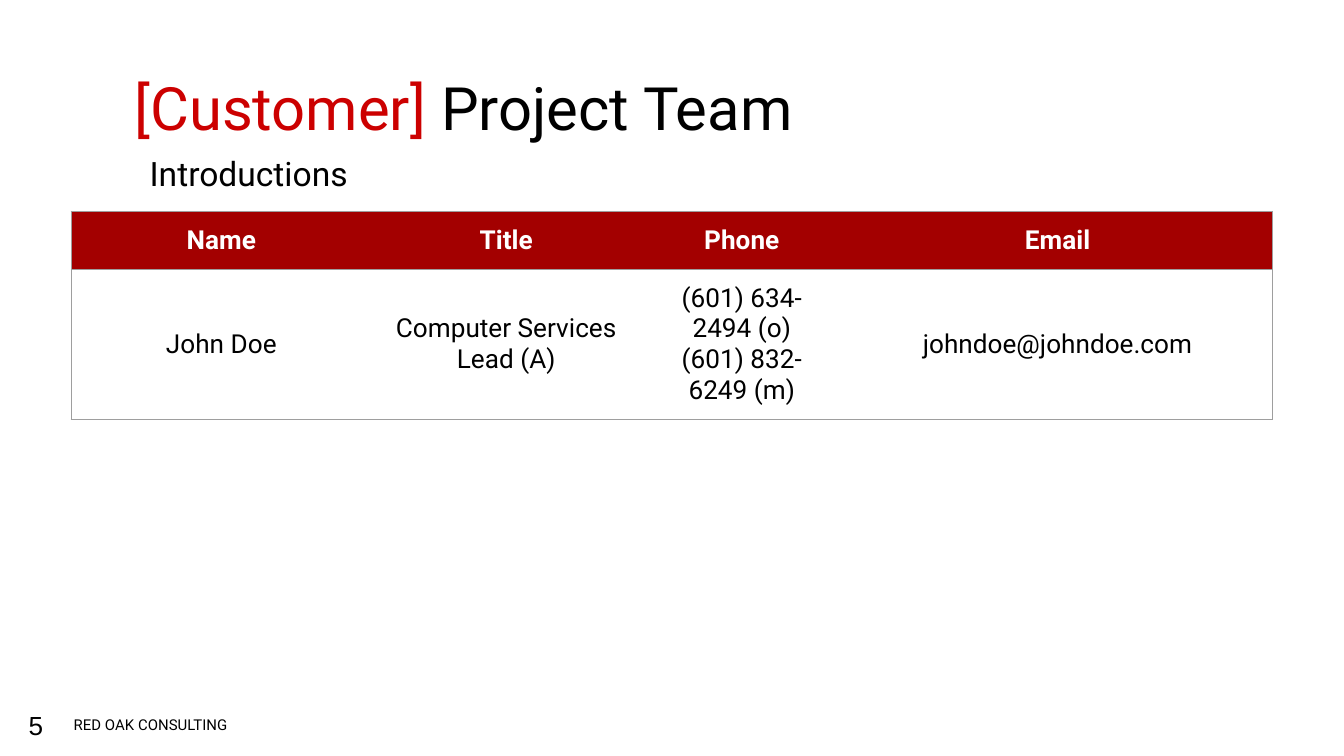
from lxml.etree import SubElement
from pptx import Presentation
from pptx.dml.color import RGBColor
from pptx.enum.text import MSO_ANCHOR, MSO_AUTO_SIZE, PP_ALIGN
from pptx.oxml.ns import qn
from pptx.util import Inches, Pt

COLORS = {
    "ink": "000000",
    "accent": "CC0000",
    "header": "A30000",
    "white": "FFFFFF",
    "border": "9E9E9E",
}
COLS, ROWS = 100, 56.25
UNIT = Inches(0.1)
PAD = UNIT
TEAM = [
    ["Name", "Title", "Phone", "Email"],
    ["John Doe", "Computer Services Lead (A)",
     "(601) 634-2494 (o)\n(601) 832-6249 (m)", "johndoe@johndoe.com"],
]
WIDTHS = [22.35, 20.05, 15, 32]
HEIGHTS = [4.3, 11.2]


def grid(*cells):
    return [round(cell * UNIT) for cell in cells]


def style(run, size, color="ink", face="Roboto", bold=False):
    font = run.font
    font.size = Pt(size)
    font.name = face
    font.bold = bold
    font.color.rgb = RGBColor.from_string(COLORS[color])


def setup(frame, anchor):
    frame.word_wrap = True
    frame.auto_size = MSO_AUTO_SIZE.NONE
    frame.vertical_anchor = anchor
    frame.margin_left = frame.margin_right = PAD
    frame.margin_top = frame.margin_bottom = PAD


def add_title(slide, box, parts):
    title = slide.shapes.title
    title.left, title.top, title.width, title.height = grid(*box)
    setup(title.text_frame, MSO_ANCHOR.BOTTOM)
    para = title.text_frame.paragraphs[0]
    para.alignment = PP_ALIGN.LEFT
    for text, color in parts:
        run = para.add_run()
        run.text = text
        style(run, 32, color)


def add_text(slide, box, text, size, anchor=MSO_ANCHOR.MIDDLE, face="Roboto"):
    frame = slide.shapes.add_textbox(*grid(*box)).text_frame
    setup(frame, anchor)
    frame.text = text
    style(frame.paragraphs[0].runs[0], size, face=face)


def add_border(cell, sides):
    props = cell._tc.get_or_add_tcPr()
    for place, side in enumerate("LRTB"):
        line = SubElement(props, qn(f"a:ln{side}"), w=str(Pt(0.75)))
        if side in sides:
            fill = SubElement(line, qn("a:solidFill"))
            SubElement(fill, qn("a:srgbClr"), val=COLORS["border"])
        else:
            SubElement(line, qn("a:noFill"))
        props.insert(place, line)


def fill_cell(cell, text, head):
    cell.margin_left = cell.margin_right = PAD
    cell.margin_top = cell.margin_bottom = PAD
    cell.vertical_anchor = MSO_ANCHOR.TOP if head else MSO_ANCHOR.MIDDLE
    if head:
        cell.fill.solid()
        cell.fill.fore_color.rgb = RGBColor.from_string(COLORS["header"])
    else:
        cell.fill.background()
    para = cell.text_frame.paragraphs[0]
    para.text = text
    para.alignment = PP_ALIGN.CENTER
    for run in para.runs:
        style(run, 14, "white" if head else "ink", bold=head)


def add_team(slide, left, top):
    box = grid(left, top, sum(WIDTHS), sum(HEIGHTS))
    table = slide.shapes.add_table(len(HEIGHTS), len(WIDTHS), *box).table
    table.horz_banding = False
    for col, width in zip(table.columns, grid(*WIDTHS)):
        col.width = width
    for row, height in zip(table.rows, grid(*HEIGHTS)):
        row.height = height
    last = len(WIDTHS) - 1
    for r, line in enumerate(TEAM):
        for c, text in enumerate(line):
            cell = table.cell(r, c)
            fill_cell(cell, text, r == 0)
            add_border(cell, "TB" + "L" * (c == 0) + "R" * (c == last))


def main():
    deck = Presentation()
    deck.slide_width, deck.slide_height = grid(COLS, ROWS)
    slide = deck.slides.add_slide(deck.slide_layouts[5])
    add_text(slide, (4.5, 51.8, 83.8, 4.3), "RED OAK CONSULTING", 8)
    add_text(slide, (1.15, 51.8, 3.9, 4.3), "5", 14, face="Arial")
    add_title(slide, (9, 0, 81.9, 11.6),
              [("[Customer]", "accent"), (" Project Team", "ink")])
    add_team(slide, 5.3, 15.73)
    add_text(slide, (10.15, 10.35, 81.9, 3.6), "Introductions", 18, MSO_ANCHOR.TOP)
    deck.save("out.pptx")


if __name__ == "__main__":
    main()
